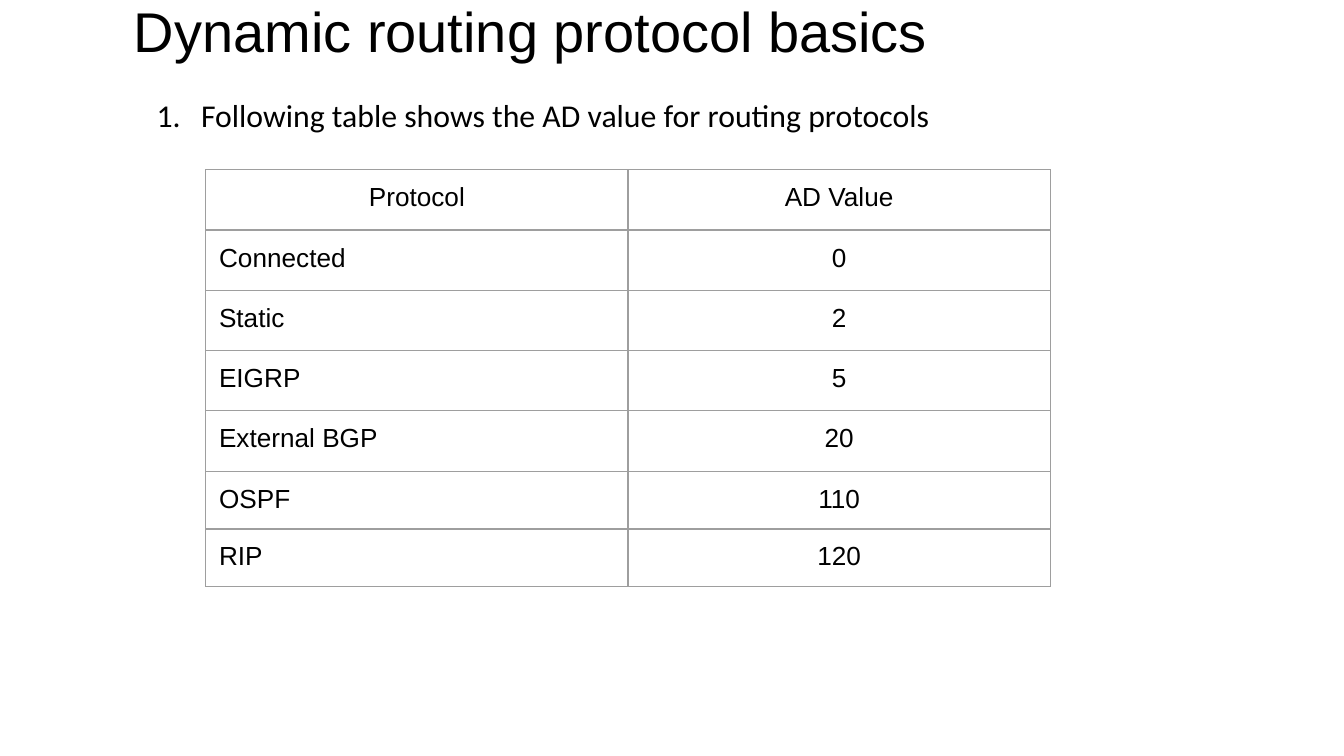
from dataclasses import dataclass

from lxml import etree
from pptx import Presentation
from pptx.dml.color import RGBColor
from pptx.enum.text import MSO_ANCHOR, PP_ALIGN
from pptx.oxml.ns import qn
from pptx.slide import Slide
from pptx.table import _Cell
from pptx.text.text import TextFrame, _Paragraph
from pptx.util import Cm, Length, Pt

LEFT, CENTER = PP_ALIGN.LEFT, PP_ALIGN.CENTER
TOP, BOTTOM = MSO_ANCHOR.TOP, MSO_ANCHOR.BOTTOM


@dataclass(frozen=True)
class Theme:
    text: str = "000000"
    border: str = "9E9E9E"
    heading_font: str = "Arial"
    body_font: str = "Calibri"
    title_size: Length = Pt(30)
    body_size: Length = Pt(17)
    table_size: Length = Pt(14)
    border_width: Length = Pt(0.75)
    inset: Length = Cm(0.25)


@dataclass(frozen=True)
class Route:
    protocol: str
    distance: str


THEME = Theme()
HEADER = Route("Protocol", "AD Value")
ROUTES = [
    Route("Connected", "0"),
    Route("Static", "2"),
    Route("EIGRP", "5"),
    Route("External BGP", "20"),
    Route("OSPF", "110"),
    Route("RIP", "120"),
]
CONTENT_LEFT, CONTENT_WIDTH = Cm(2.28), Cm(20.8)
TITLE_HEIGHT, BODY_HEIGHT = Cm(1.45), Cm(11.66)
TABLE_LEFT, TABLE_TOP, COLUMN_WIDTH = Cm(3.89), Cm(3.21), Cm(7.98)
TALL_ROW, SHORT_ROW, TALL_ROW_COUNT = Cm(1.14), Cm(1.05), 5


def add_run(paragraph: _Paragraph, text: str, font: str, size: Length) -> None:
    run = paragraph.add_run()
    run.text = text
    run.font.name = font
    run.font.size = size
    run.font.color.rgb = RGBColor.from_string(THEME.text)


def add_text_box(slide: Slide, top: Length, height: Length, anchor: MSO_ANCHOR) -> TextFrame:
    frame = slide.shapes.add_textbox(CONTENT_LEFT, top, CONTENT_WIDTH, height).text_frame
    frame.word_wrap = True
    frame.vertical_anchor = anchor
    frame.margin_left = frame.margin_right = THEME.inset
    frame.margin_top = frame.margin_bottom = THEME.inset
    return frame


def number_paragraph(paragraph: _Paragraph, margin: Length, indent: Length) -> None:
    properties = paragraph._p.get_or_add_pPr()
    properties.set("marL", str(margin))
    properties.set("indent", str(indent))
    color = etree.SubElement(properties, qn("a:buClr"))
    etree.SubElement(color, qn("a:srgbClr"), val=THEME.text)
    etree.SubElement(properties, qn("a:buFont"), typeface=THEME.body_font)
    etree.SubElement(properties, qn("a:buAutoNum"), type="arabicPeriod")


def add_borders(cell: _Cell) -> None:
    properties = cell._tc.get_or_add_tcPr()
    for side in ("L", "R", "T", "B"):
        line = etree.SubElement(properties, qn(f"a:ln{side}"), w=str(THEME.border_width))
        fill = etree.SubElement(line, qn("a:solidFill"))
        etree.SubElement(fill, qn("a:srgbClr"), val=THEME.border)


def fill_cell(cell: _Cell, text: str, alignment: PP_ALIGN) -> None:
    add_borders(cell)
    cell.fill.background()
    cell.margin_left = cell.margin_right = THEME.inset
    cell.margin_top = cell.margin_bottom = THEME.inset
    paragraph = cell.text_frame.paragraphs[0]
    paragraph.alignment = alignment
    add_run(paragraph, text, THEME.heading_font, THEME.table_size)


def add_route_table(slide: Slide, header: Route, routes: list[Route]) -> None:
    rows = [header, *routes]
    heights = [TALL_ROW if i < TALL_ROW_COUNT else SHORT_ROW for i in range(len(rows))]
    table = slide.shapes.add_table(
        len(rows), 2, TABLE_LEFT, TABLE_TOP, 2 * COLUMN_WIDTH, sum(heights)
    ).table
    table.first_row = False
    table.horz_banding = False
    for column in table.columns:
        column.width = COLUMN_WIDTH
    for index, (route, height) in enumerate(zip(rows, heights)):
        table.rows[index].height = height
        fill_cell(table.cell(index, 0), route.protocol, LEFT if index else CENTER)
        fill_cell(table.cell(index, 1), route.distance, CENTER)


def main() -> None:
    presentation = Presentation()
    presentation.slide_width = Cm(25.4)
    presentation.slide_height = Cm(14.29)
    slide = presentation.slides.add_slide(presentation.slide_layouts[6])

    title = add_text_box(slide, Cm(0), TITLE_HEIGHT, BOTTOM).paragraphs[0]
    add_run(title, "Dynamic routing protocol basics", THEME.heading_font, THEME.title_size)

    body = add_text_box(slide, TITLE_HEIGHT, BODY_HEIGHT, TOP).paragraphs[0]
    number_paragraph(body, Cm(1.27), Cm(-0.84))
    body.line_spacing = 1.15
    add_run(
        body,
        "Following table shows the AD value for routing protocols",
        THEME.body_font,
        THEME.body_size,
    )

    add_route_table(slide, HEADER, ROUTES)
    presentation.save("out.pptx")


if __name__ == "__main__":
    main()
